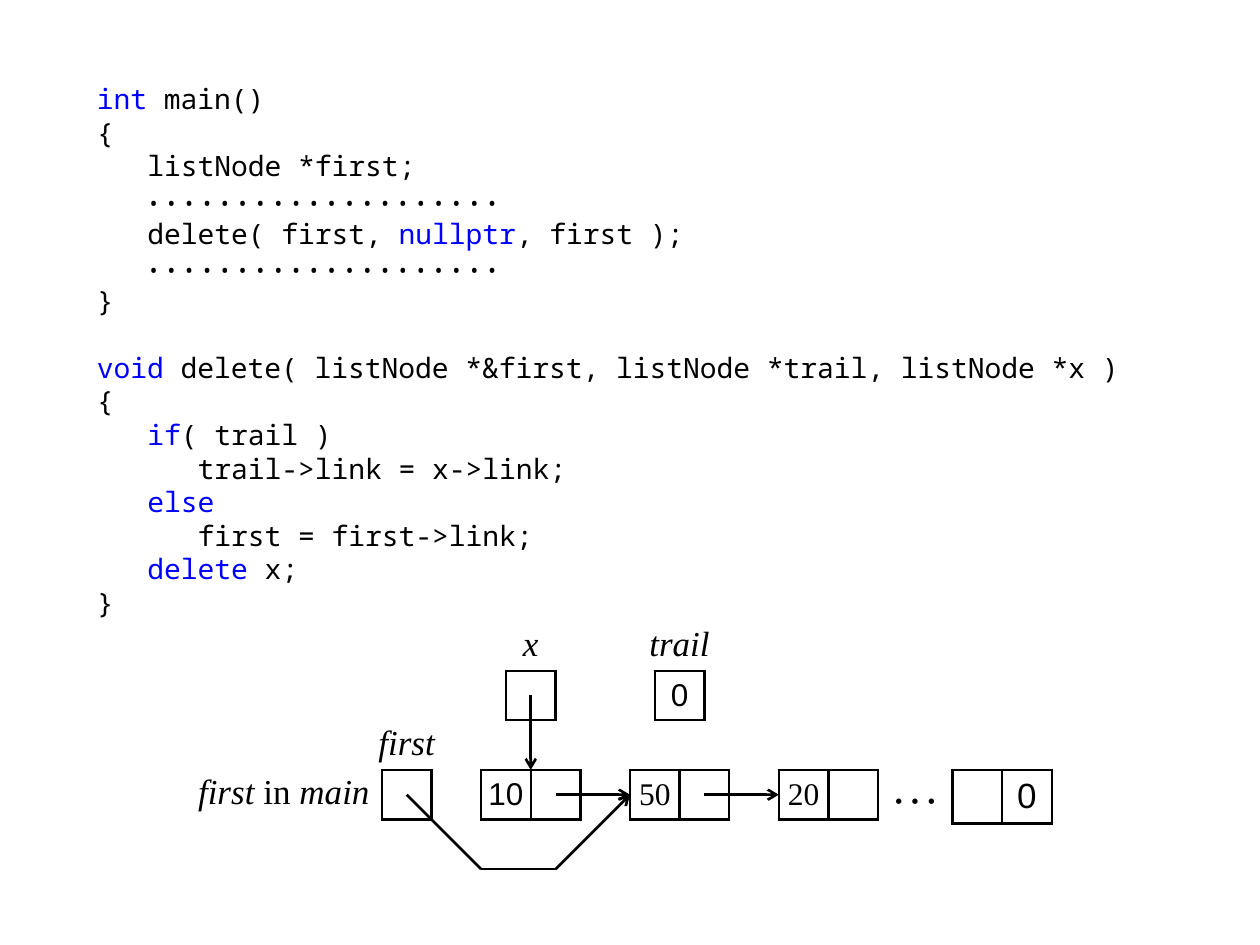
from dataclasses import dataclass

from lxml import etree
from pptx import Presentation
from pptx import util as u
from pptx.dml.color import RGBColor
from pptx.enum import shapes, text
from pptx.oxml import ns

BLACK, BLUE = "000000", "0000FF"
MONO, SERIF, SANS = "Noto Sans Mono", "Times New Roman", "Arial"
CELL = 1.0
LABEL_ROW, POINTER_ROW, FIRST_ROW, LIST_ROW = 12.52, 13.52, 14.52, 15.52
LINE_PITCH = u.Pt(19.2)


@dataclass
class Run:
    """A stretch of text with one format."""
    text: str
    color: str = BLACK
    size: float = 16
    font: str = MONO
    italic: bool = False
    spacing: int = 0


@dataclass
class CodeLine:
    """A line of code, indented by whole levels."""
    level: int
    runs: list[Run]
    gap_before: bool = False


@dataclass
class Node:
    """A row of square cells."""
    left: float
    top: float
    values: list[str]
    font: str = SANS
    size: float = 18
    height: float = CELL


@dataclass
class Label:
    """A text box beside or above a node."""
    left: float
    top: float
    width: float
    runs: list[Run]
    align: text.PP_ALIGN = text.PP_ALIGN.CENTER
    anchor: text.MSO_ANCHOR = text.MSO_ANCHOR.TOP
    wrap: bool = False


@dataclass
class Link:
    """A line from one point to another."""
    start: tuple[float, float]
    end: tuple[float, float]
    arrow: bool = True


def rgb(color: str) -> RGBColor:
    """Turn a hex string into a colour."""
    return RGBColor.from_string(color)


def keyword(word: str) -> Run:
    """Return a keyword run."""
    return Run(word, BLUE)


def term(word: str, italic: bool = True) -> Run:
    """Return a label run."""
    return Run(word, size=20, font=SERIF, italic=italic)


def add_runs(paragraph, runs: list[Run]) -> None:
    """Add formatted runs to a paragraph."""
    for item in runs:
        run = paragraph.add_run()
        run.text = item.text
        run.font.name = item.font
        run.font.size = u.Pt(item.size)
        run.font.italic = item.italic
        run.font.color.rgb = rgb(item.color)
        if item.spacing:
            run.font._element.set("spc", str(item.spacing))


def fill_code(placeholder, lines: list[CodeLine]) -> None:
    """Place the body and write the code into it."""
    placeholder.left, placeholder.top = u.Cm(1.7), u.Cm(1.52)
    placeholder.width, placeholder.height = u.Cm(22), u.Cm(11)
    frame = placeholder.text_frame
    frame.auto_size = text.MSO_AUTO_SIZE.NONE
    frame.margin_right = u.Cm(0.1)
    for number, line in enumerate(lines):
        paragraph = frame.paragraphs[0] if number == 0 else frame.add_paragraph()
        paragraph.line_spacing = LINE_PITCH
        paragraph.space_before = LINE_PITCH if line.gap_before else u.Pt(0)
        properties = paragraph._p.get_or_add_pPr()
        properties.set("marL", str(u.Pt(28.8 * line.level)))
        properties.set("indent", "0")
        etree.SubElement(properties, ns.qn("a:buNone"))
        add_runs(paragraph, line.runs)


def add_borders(cell) -> None:
    """Draw a black line on each side of a cell."""
    properties = cell._tc.get_or_add_tcPr()
    for side in ("lnL", "lnR", "lnT", "lnB"):
        line = etree.SubElement(properties, ns.qn(f"a:{side}"), w=str(u.Pt(1.5)))
        fill = etree.SubElement(line, ns.qn("a:solidFill"))
        etree.SubElement(fill, ns.qn("a:srgbClr"), val=BLACK)


def add_node(slide, node: Node) -> None:
    """Draw a node as a one-row table."""
    count = len(node.values)
    table = slide.shapes.add_table(
        1, count, u.Cm(node.left), u.Cm(node.top),
        u.Cm(CELL * count), u.Cm(node.height)).table
    table.first_row = table.horz_banding = False
    for cell, value in zip(table.iter_cells(), node.values):
        cell.margin_left = cell.margin_right = u.Cm(0.1)
        cell.margin_top = cell.margin_bottom = u.Cm(0.08)
        cell.vertical_anchor = text.MSO_ANCHOR.MIDDLE
        add_borders(cell)
        cell.fill.background()
        if value:
            paragraph = cell.text_frame.paragraphs[0]
            paragraph.alignment = text.PP_ALIGN.CENTER
            add_runs(paragraph, [Run(value, size=node.size, font=node.font)])


def add_label(slide, label: Label) -> None:
    """Draw a label."""
    frame = slide.shapes.add_textbox(
        u.Cm(label.left), u.Cm(label.top), u.Cm(label.width), u.Cm(CELL)).text_frame
    frame.word_wrap = label.wrap
    frame.vertical_anchor = label.anchor
    frame.margin_left = 0 if label.wrap else u.Cm(0.25)
    frame.margin_right = u.Cm(0.25)
    frame.margin_top = frame.margin_bottom = 0
    frame.paragraphs[0].alignment = label.align
    add_runs(frame.paragraphs[0], label.runs)


def add_link(slide, link: Link) -> None:
    """Draw a line, with an arrowhead where asked."""
    connector = slide.shapes.add_connector(
        shapes.MSO_CONNECTOR.STRAIGHT, *map(u.Cm, link.start + link.end))
    connector.line.color.rgb = rgb(BLACK)
    connector.line.width = u.Pt(1.5)
    if link.arrow:
        etree.SubElement(connector.line._get_or_add_ln(), ns.qn("a:tailEnd"), type="arrow")
    etree.SubElement(connector._element.spPr, ns.qn("a:effectLst"))


DOTS = Run("•" * 20, size=12, spacing=300)
CODE = [
    CodeLine(0, [keyword("int"), Run(" main()")]),
    CodeLine(0, [Run("{")]),
    CodeLine(1, [Run("listNode *first;")]),
    CodeLine(1, [DOTS]),
    CodeLine(1, [Run("delete( first, "), keyword("nullptr"), Run(", first );")]),
    CodeLine(1, [DOTS]),
    CodeLine(0, [Run("}")]),
    CodeLine(0, [keyword("void "), Run(
        "delete( listNode *&first, listNode *trail, listNode *x )")], True),
    CodeLine(0, [Run("{")]),
    CodeLine(1, [keyword("if"), Run("( trail )")]),
    CodeLine(2, [Run("trail->link = x->link;")]),
    CodeLine(1, [keyword("else")]),
    CodeLine(2, [Run("first = first->link;")]),
    CodeLine(1, [keyword("delete"), Run(" x;")]),
    CodeLine(0, [Run("}")]),
]
NODES = [
    Node(10.2, POINTER_ROW, [""]),
    Node(13.2, POINTER_ROW, ["0"]),
    Node(7.7, LIST_ROW, [""]),
    Node(9.7, LIST_ROW, ["10", ""]),
    Node(12.7, LIST_ROW, ["50", ""], SERIF),
    Node(15.7, LIST_ROW, ["20", ""], SERIF),
    Node(19.2, LIST_ROW, ["", "0"], size=20, height=1.08),
]
LABELS = [
    Label(10.2, LABEL_ROW, 1, [term("x")]),
    Label(12.7, LABEL_ROW, 2, [term("trail")]),
    Label(7.2, FIRST_ROW, 2, [term("first")]),
    Label(3.7, LIST_ROW, 4, [term("first"), term(" in ", False), term("main")],
          text.PP_ALIGN.RIGHT, wrap=True),
    Label(17.7, LIST_ROW, 1.5, [Run("⋯", size=28, font="Cambria")],
          anchor=text.MSO_ANCHOR.MIDDLE),
]
MIDDLE = LIST_ROW + CELL / 2
DETOUR = MIDDLE + 1.5
LINKS = [
    Link((10.7, POINTER_ROW + CELL / 2), (10.7, LIST_ROW)),
    Link((11.2, MIDDLE), (12.7, MIDDLE)),
    Link((14.2, MIDDLE), (15.7, MIDDLE)),
    Link((8.2, MIDDLE), (9.7, DETOUR), False),
    Link((9.7, DETOUR), (11.2, DETOUR), False),
    Link((11.2, DETOUR), (12.7, MIDDLE)),
]

presentation = Presentation()
presentation.slide_width, presentation.slide_height = u.Cm(25.4), u.Cm(19.05)
slide = presentation.slides.add_slide(presentation.slide_layouts[1])
title = slide.shapes.title._element
title.getparent().remove(title)
fill_code(slide.placeholders[1], CODE)
for draw, items in ((add_node, NODES), (add_label, LABELS), (add_link, LINKS)):
    for item in items:
        draw(slide, item)
presentation.save("out.pptx")
